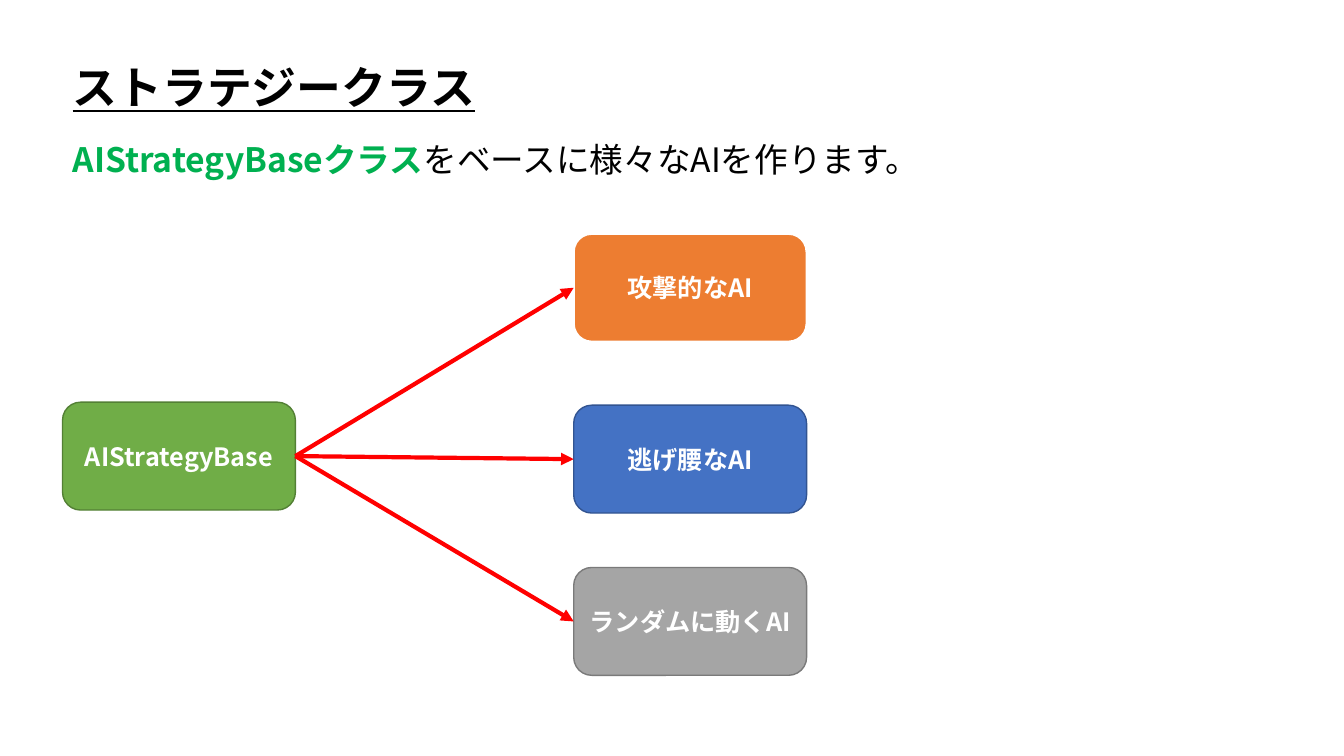
import lxml.etree
import pptx
import pptx.dml.color
import pptx.enum.shapes
import pptx.enum.text
import pptx.oxml.ns
import pptx.util

RGBColor = pptx.dml.color.RGBColor
MSO_ANCHOR = pptx.enum.text.MSO_ANCHOR
PP_ALIGN = pptx.enum.text.PP_ALIGN
Inches, Pt = pptx.util.Inches, pptx.util.Pt
qn = pptx.oxml.ns.qn

BLACK = RGBColor(0x00, 0x00, 0x00)
WHITE = RGBColor(0xFF, 0xFF, 0xFF)
KEYWORD_GREEN = RGBColor(0x00, 0xB0, 0x50)
ARROW_RED = RGBColor(0xFF, 0x00, 0x00)
GREEN, GREEN_EDGE = RGBColor(0x70, 0xAD, 0x47), RGBColor(0x53, 0x80, 0x35)
ORANGE = RGBColor(0xED, 0x7D, 0x31)
BLUE, BLUE_EDGE = RGBColor(0x44, 0x72, 0xC4), RGBColor(0x32, 0x54, 0x91)
GRAY, GRAY_EDGE = RGBColor(0xA5, 0xA5, 0xA5), RGBColor(0x7A, 0x7A, 0x7A)
FONT = "Noto Sans CJK JP"

# Runs: text, colour, bold, underline
TITLE = [("ストラテジークラス", BLACK, True, True)]
LEAD = [
    ("AIStrategyBaseクラス", KEYWORD_GREEN, True, False),
    ("をベースに様々なAIを作ります。", BLACK, False, False),
]
# Boxes: text, top, fill, edge, edge width
BASE = ("AIStrategyBase", 3.99, GREEN, GREEN_EDGE, 1)
STRATEGIES = [
    ("攻撃的なAI", 2.32, ORANGE, WHITE, 1.5),
    ("逃げ腰なAI", 4.02, BLUE, BLUE_EDGE, 1),
    ("ランダムに動くAI", 5.63, GRAY, GRAY_EDGE, 1),
]

SLIDE_W, SLIDE_H = 13.33, 7.5
LEFT, STRATEGY_LEFT = 0.62, 5.69
BOX_W, BOX_H = 2.31, 1.07
LEFT_SITE, RIGHT_SITE = 1, 3  # connection sites of a rounded rectangle


def add_run(p, text, size, color, bold, underline=False):
    r = p.add_run()
    r.text = text
    r.font.size = Pt(size)
    r.font.bold = bold
    if underline:
        r.font.underline = True
    r.font.color.rgb = color
    r.font.name = FONT
    east_asian = lxml.etree.SubElement(r.font._element, qn("a:ea"))
    east_asian.set("typeface", FONT)


def fill_placeholder(sp, top, width, height, size, runs):
    sp.left, sp.top = Inches(LEFT), Inches(top)
    sp.width, sp.height = Inches(width), Inches(height)
    tf = sp.text_frame
    tf.word_wrap = False
    tf.auto_size = pptx.enum.text.MSO_AUTO_SIZE.SHAPE_TO_FIT_TEXT
    tf.vertical_anchor = MSO_ANCHOR.TOP
    p = tf.paragraphs[0]
    p.alignment = PP_ALIGN.LEFT
    p.space_before = Pt(0)
    pPr = p._p.get_or_add_pPr()
    pPr.set("marL", "0")
    pPr.set("indent", "0")
    lxml.etree.SubElement(pPr, qn("a:buNone"))
    for text, color, bold, underline in runs:
        add_run(p, text, size, color, bold, underline)


def add_box(s, left, text, top, fill, edge, edge_width):
    sp = s.shapes.add_shape(
        pptx.enum.shapes.MSO_SHAPE.ROUNDED_RECTANGLE,
        Inches(left), Inches(top), Inches(BOX_W), Inches(BOX_H))
    sp.shadow.inherit = False
    sp.fill.solid()
    sp.fill.fore_color.rgb = fill
    sp.line.color.rgb = edge
    sp.line.width = Pt(edge_width)
    tf = sp.text_frame
    tf.word_wrap = True
    tf.vertical_anchor = MSO_ANCHOR.MIDDLE
    p = tf.paragraphs[0]
    p.alignment = PP_ALIGN.CENTER
    add_run(p, text, 18, WHITE, True)
    return sp


def add_arrow(s, source, target):
    arrow = s.shapes.add_connector(
        pptx.enum.shapes.MSO_CONNECTOR.STRAIGHT, 0, 0, 0, 0)
    arrow.begin_connect(source, RIGHT_SITE)
    arrow.end_connect(target, LEFT_SITE)
    arrow.line.color.rgb = ARROW_RED
    arrow.line.width = Pt(3)
    head = lxml.etree.SubElement(arrow.line._get_or_add_ln(), qn("a:tailEnd"))
    head.set("type", "triangle")
    lxml.etree.SubElement(arrow._element.spPr, qn("a:effectLst"))


def main():
    prs = pptx.Presentation()
    prs.slide_width, prs.slide_height = Inches(SLIDE_W), Inches(SLIDE_H)
    s = prs.slides.add_slide(prs.slide_layouts[1])
    fill_placeholder(s.shapes.title, 0.54, 4.24, 0.64, 32, TITLE)
    fill_placeholder(s.placeholders[1], 1.33, 8.8, 0.5, 24, LEAD)

    base = add_box(s, LEFT, *BASE)
    strategies = [add_box(s, STRATEGY_LEFT, *box) for box in STRATEGIES]
    for strategy in strategies:
        add_arrow(s, base, strategy)
    prs.save("out.pptx")


if __name__ == "__main__":
    main()
